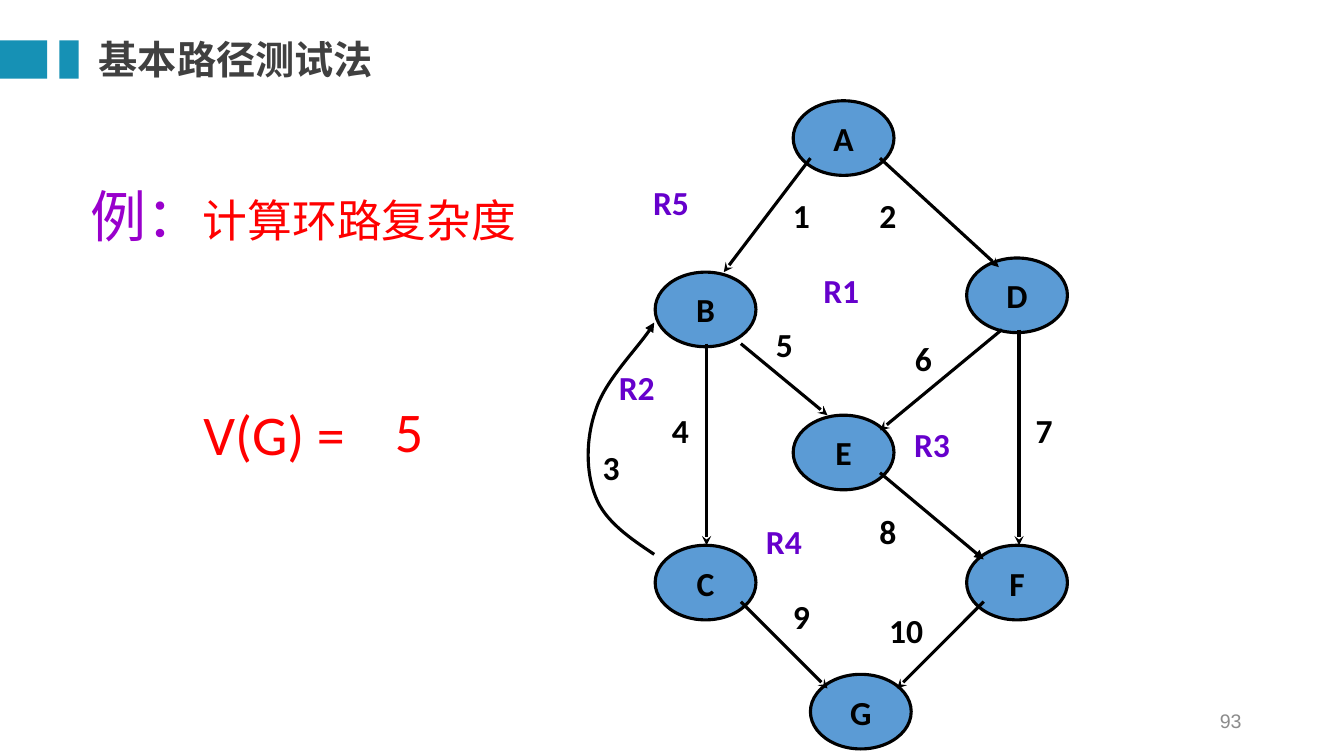
from lxml import etree
from pptx import Presentation
from pptx.dml.color import RGBColor
from pptx.enum import shapes, text
from pptx.oxml import ns
from pptx.util import Pt

LATIN, CJK = "Calibri", "Noto Sans CJK SC"
BLACK, RED, PURPLE, TEAL, NODE_BLUE = "000000", "FF0000", "6600CC", "1691B5", "5B9BD5"
LEFT, CENTER, RIGHT = text.PP_ALIGN.LEFT, text.PP_ALIGN.CENTER, text.PP_ALIGN.RIGHT
TOP, MIDDLE, BOTTOM = text.MSO_ANCHOR.TOP, text.MSO_ANCHOR.MIDDLE, text.MSO_ANCHOR.BOTTOM

NODE_SIZE = (72, 53.3)
NUMBER_SIZE = (86.4, 41)
REGION_SIZE = (73.4, 36)
# Places inside the graph box, in points
NODES = {
    "A": (168.6, 0), "B": (70, 122.4), "C": (70, 317.5), "D": (292.5, 112.3),
    "E": (168.6, 224.6), "F": (292.5, 317.5), "G": (180.9, 409.7),
}
# Edge number: start, end, left top of its label, arrowhead
EDGES = {
    "1": ((180.9, 41), (119, 122.4), (131.2, 61.2), "stealth"),
    "2": ((230.6, 41), (315.5, 118.8), (193.1, 61.2), "stealth"),
    "4": ((106.7, 173.5), (106.7, 317.5), (44.8, 214.6), "stealth"),
    "5": ((131.2, 173.5), (193.1, 224.6), (119, 153.4), "stealth"),
    "6": ((317.7, 163.4), (230.6, 235.4), (218.3, 163.4), "stealth"),
    "7": ((329.9, 163.4), (329.9, 317.5), (304.7, 214.6), "stealth"),
    "8": ((230.6, 265.7), (304.7, 327.6), (193.1, 286.6), "triangle"),
    "9": ((131.2, 357.8), (193.1, 419.8), (131.2, 347.8), "stealth"),
    "10": ((304.7, 357.8), (242.8, 419.8), (206.1, 357.8), "stealth"),
}
LOOP_LABEL = (-4.7, 241.2)
LOOP_CURVE = [
    (69.3, 324), (52, 312.5), (34, 300.2), (27.5, 283), (20.3, 265.7),
    (20.3, 241.2), (27.5, 221), (34, 200.2), (62.1, 172.1), (69.3, 158.4),
]
REGIONS = {
    "R1": (183, 117.4), "R2": (36.9, 186.5), "R3": (247.8, 227.5),
    "R4": (142, 296.6), "R5": (61.4, 54.7),
}


def color(value):
    return RGBColor.from_string(value)


def write(frame, spans, align=LEFT, anchor=TOP, bold=False, font=LATIN):
    """Fill a frame with one paragraph of (words, size, colour) spans."""
    frame.word_wrap = True
    frame.vertical_anchor = anchor
    para = frame.paragraphs[0]
    para.alignment = align
    for words, size, ink in spans:
        span = para.add_run()
        span.text = words
        span.font.size = Pt(size)
        span.font.bold = bold
        span.font.name = font
        span.font.color.rgb = color(ink)
        east_asian = etree.SubElement(span.font._element, ns.qn("a:ea"))
        east_asian.set("typeface", CJK)
    return para


def add_label(page, box, words, size, ink, **style):
    label = page.shapes.add_textbox(*map(Pt, box))
    write(label.text_frame, [(words, size, ink)], **style)
    return label


def add_filled(page, preset, box, fill):
    shape = page.shapes.add_shape(preset, *map(Pt, box))
    shape.shadow.inherit = False
    shape.fill.solid()
    shape.fill.fore_color.rgb = color(fill)
    shape.line.fill.background()
    return shape


def draw_line(shape, head):
    """Give a shape a black outline, with an arrowhead at its end if one is named."""
    shape.line.color.rgb = color(BLACK)
    shape.line.width = Pt(2.25)
    if head:
        etree.SubElement(shape.line._get_or_add_ln(), ns.qn("a:tailEnd")).set("type", head)


def add_header(page, left, top):
    for offset, width in ((0, 33.8), (42.5, 13.7)):
        add_filled(page, shapes.MSO_SHAPE.RECTANGLE, (left + offset, top, width, 27.4), TEAL)
    heading = add_label(page, (left + 70.6, top - 6.5, 581, 39.6), "基本路径测试法",
                        28, "404040", anchor=MIDDLE, bold=True, font=CJK)
    frame = heading.text_frame
    frame.margin_left = frame.margin_top = frame.margin_right = frame.margin_bottom = 0


def add_example(page, left, top):
    title = page.shapes.title
    title.left, title.top, title.width, title.height = map(Pt, (left, top, 645, 77))
    para = write(title.text_frame, [("例：", 40, "9900CC"), ("计算环路复杂度", 32, RED)],
                 anchor=BOTTOM)
    para.line_spacing = 0.9
    add_label(page, (left + 80.6, top + 177, 136.8, 55.4), "V(G) =", 40, RED)
    add_label(page, (left + 217.4, top + 175, 85, 55.4), "5", 40, RED)


def add_node(page, box, name):
    node = add_filled(page, shapes.MSO_SHAPE.OVAL, box, NODE_BLUE)
    draw_line(node, None)
    write(node.text_frame, [(name, 24, BLACK)], align=CENTER, anchor=MIDDLE, bold=True)
    node.text_frame.word_wrap = False


def add_edge(page, start, end, head):
    edge = page.shapes.add_connector(shapes.MSO_CONNECTOR.STRAIGHT,
                                     *map(Pt, (*start, *end)))
    draw_line(edge, head)
    etree.SubElement(edge._element.spPr, ns.qn("a:effectLst"))


def add_curve(page, points):
    """Draw a start point followed by triples of Bezier points."""
    corners = [(Pt(x), Pt(y)) for x, y in points]
    builder = page.shapes.build_freeform(*corners[0])
    builder.add_line_segments(corners[1:], close=False)
    curve = builder.convert_to_shape()
    segments = list(curve._element.iter(ns.qn("a:lnTo")))
    for first in range(0, len(segments), 3):
        bezier = etree.Element(ns.qn("a:cubicBezTo"))
        segments[first].addprevious(bezier)
        for segment in segments[first:first + 3]:
            bezier.append(segment[0])
            segment.getparent().remove(segment)
    curve.shadow.inherit = False
    curve.fill.background()
    draw_line(curve, "triangle")


def add_flow_graph(page, left, top):
    def place(point):
        return left + point[0], top + point[1]

    def add_number(point, number):
        add_label(page, (*place(point), *NUMBER_SIZE), number, 24, BLACK,
                  align=CENTER, anchor=MIDDLE, bold=True)

    add_curve(page, [place(point) for point in LOOP_CURVE])
    add_number(LOOP_LABEL, "3")
    for name, point in NODES.items():
        add_node(page, (*place(point), *NODE_SIZE), name)
    for number, (start, end, label, head) in EDGES.items():
        add_edge(page, place(start), place(end), head)
        add_number(label, number)
    for name, point in REGIONS.items():
        add_label(page, (*place(point), *REGION_SIZE), name, 24, PURPLE, bold=True)


def main():
    deck = Presentation()
    deck.slide_width, deck.slide_height = Pt(960), Pt(540)
    page = deck.slides.add_slide(deck.slide_layouts[5])
    add_example(page, 57.6, 105)
    add_header(page, 0, 28.8)
    add_flow_graph(page, 398, 72)
    add_label(page, (678, 500.4, 216, 28.8), "93", 14, "8C8C8C",
              align=RIGHT, anchor=MIDDLE, font="Arial")
    deck.save("out.pptx")


if __name__ == "__main__":
    main()
